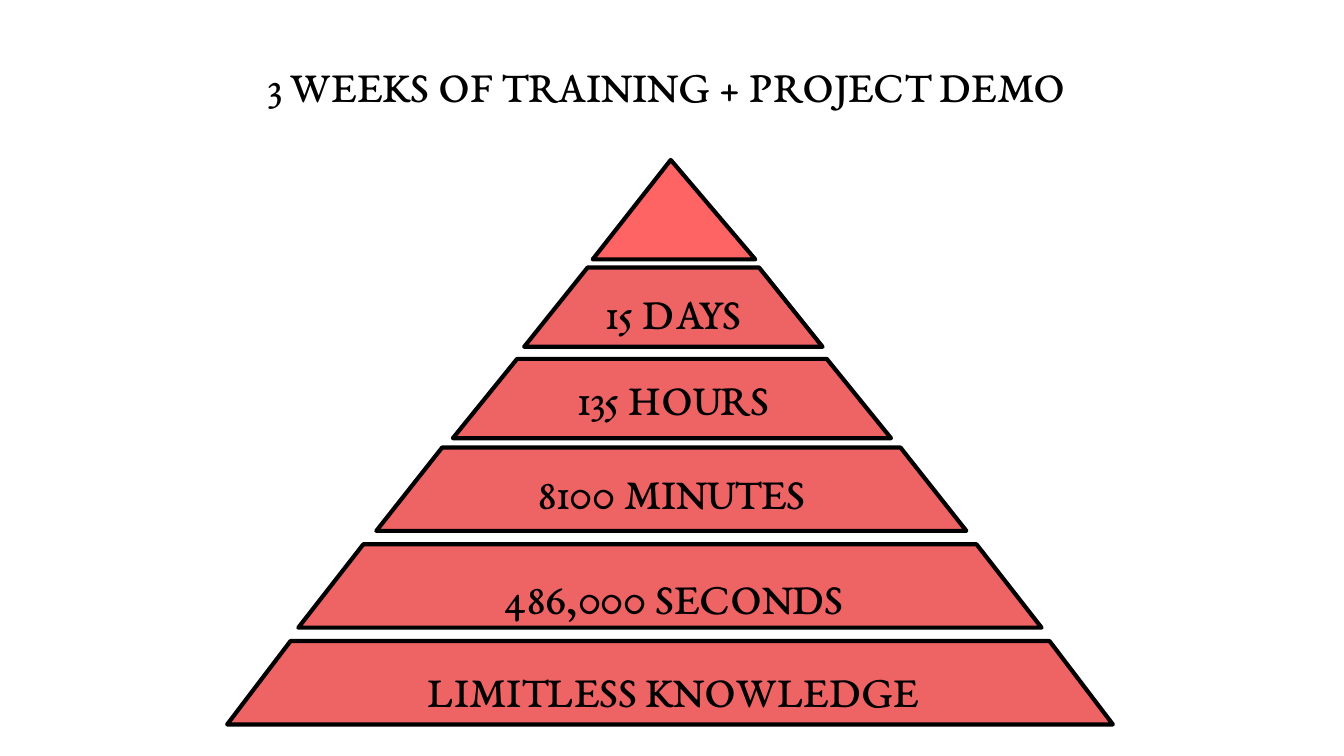
from pptx import Presentation
from pptx import util as u
from pptx.dml.color import RGBColor
from pptx.enum import shapes, text

BLACK = RGBColor(0, 0, 0)
CORAL = RGBColor(0xEE, 0x64, 0x64)
BRIGHT_CORAL = RGBColor(0xFF, 0x64, 0x64)


class PyramidSlide:
    font_name = "EB Garamond"
    font_size = u.Pt(24)
    outline = u.Pt(2.25)

    def __init__(self, slide):
        self.slide = slide

    def tier(self, kind, box, slant, fill):
        tier = self.slide.shapes.add_shape(kind, *map(u.Inches, box))
        tier.adjustments[0] = slant
        tier.shadow.inherit = False
        tier.fill.solid()
        tier.fill.fore_color.rgb = fill
        tier.line.color.rgb = BLACK
        tier.line.width = self.outline

    def label(self, wording, box, insets=(0, 0, 0, 0), spacing=1.1,
              anchor=text.MSO_ANCHOR.MIDDLE):
        frame = self.slide.shapes.add_textbox(*map(u.Inches, box)).text_frame
        frame.word_wrap = True
        frame.vertical_anchor = anchor
        (frame.margin_left, frame.margin_top,
         frame.margin_right, frame.margin_bottom) = map(u.Inches, insets)
        frame.text = wording
        line = frame.paragraphs[0]
        line.alignment = text.PP_ALIGN.CENTER
        line.line_spacing = spacing
        for run in line.runs:
            run.font.name = self.font_name
            run.font.size = self.font_size
            run.font.color.rgb = BLACK

    def compact_label(self, wording, box):
        self.label(wording, box, (0.07, 0.04, 0.07, 0.04), 1.0,
                   text.MSO_ANCHOR.TOP)


def main():
    deck = Presentation()
    deck.slide_width = u.Inches(10)
    deck.slide_height = u.Inches(10 * 9 / 16)
    pyramid = PyramidSlide(deck.slides.add_slide(deck.slide_layouts[6]))

    pyramid.label("3 WEEKS OF TRAINING + PROJECT DEMO", (0, 0.18, 10, 1.26),
                  insets=(0, 0, 0.08, 0.4))

    for box, slant in (
        ((2.22, 4.05, 5.53, 0.62), 0.78),
        ((2.8, 3.33, 4.39, 0.62), 0.79),
        ((3.37, 2.67, 3.26, 0.59), 0.81),
        ((3.9, 1.99, 2.22, 0.59), 0.8),
        ((1.69, 4.77, 6.59, 0.62), 0.76),
    ):
        pyramid.tier(shapes.MSO_SHAPE.TRAPEZOID, box, slant, CORAL)
    pyramid.tier(shapes.MSO_SHAPE.ISOSCELES_TRIANGLE,
                 (4.41, 1.19, 1.21, 0.74), 0.48, BRIGHT_CORAL)

    for wording, box in (
        ("15 DAYS", (4.11, 2.08, 1.81, 0.48)),
        ("135 HOURS", (3.9, 2.72, 2.22, 0.48)),
        ("8100 MINUTES", (3.37, 3.42, 3.26, 0.48)),
    ):
        pyramid.compact_label(wording, box)
    for wording, top in (("486,000 SECONDS", 3.9), ("LIMITLESS KNOWLEDGE", 4.59)):
        pyramid.label(wording, (1.34, top, 7.34, 1.04))

    deck.save("out.pptx")


if __name__ == "__main__":
    main()
